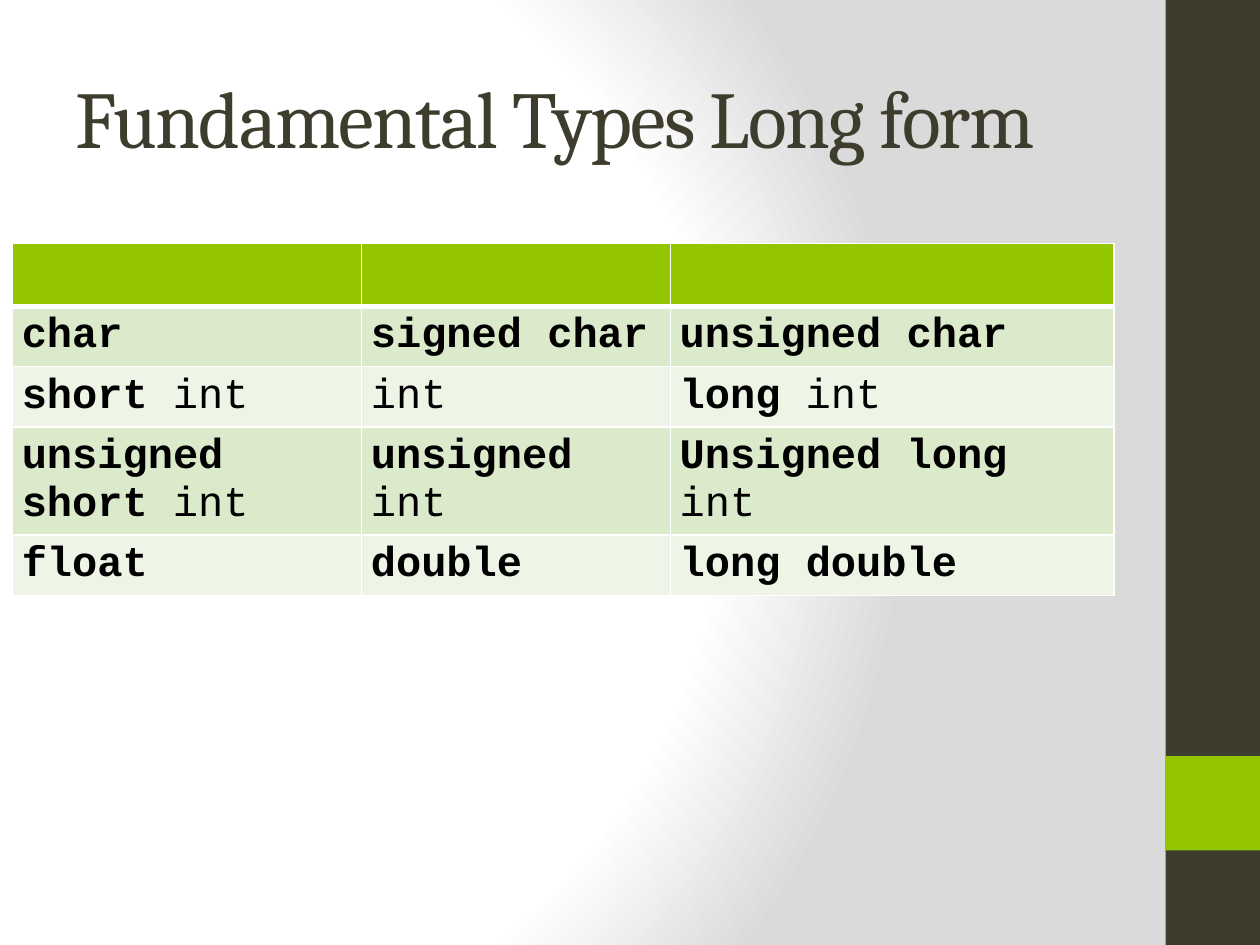
from lxml.etree import SubElement as Sub
from pptx import Presentation
from pptx.dml.color import RGBColor
from pptx.enum.shapes import MSO_SHAPE as Shape
from pptx.enum.text import MSO_ANCHOR as Anchor, MSO_AUTO_SIZE as Fit, PP_ALIGN as Align
from pptx.oxml.ns import qn
from pptx.util import Pt

DARK, GREEN, WHITE, BLACK = "3E3D2D", "94C600", "FFFFFF", "000000"
BANDS = ["DCEACC", "EEF5E7"]
# Each cell is a pair: bold text, plain text
TYPES = [
    [("char", ""), ("signed char", ""), ("unsigned char", "")],
    [("short ", "int"), ("", "int"), ("long ", "int")],
    [("unsigned short ", "int"), ("unsigned ", "int"), ("Unsigned long ", "int")],
    [("float ", ""), ("double ", ""), ("long double ", "")],
]
WIDTHS = [199.5, 176.5, 253.5]
HEIGHTS = [36, 34.5, 34.5, 61.5, 34.5]


def paint(color, code):
    """Set a color from a hex string."""
    color.rgb = RGBColor.from_string(code)


class Deck:
    """Holds the style and the current slide."""
    head, mono = "Cambria", "Courier New"

    def __init__(self):
        """Start a deck with one title-only slide."""
        self.prs = Presentation()
        self.prs.slide_width, self.prs.slide_height = Pt(720), Pt(540)
        self.slide = self.prs.slides.add_slide(self.prs.slide_layouts[5])

    def back(self, stops, focus):
        """Fill the background with a round gradient."""
        self.slide.background.fill.gradient()
        grad = next(self.slide.element.iter(qn("a:gradFill")))
        for child in list(grad):
            grad.remove(child)
        group = Sub(grad, qn("a:gsLst"))
        for place, code in stops:
            stop = Sub(group, qn("a:gs"), pos=str(place * 1000))
            Sub(stop, qn("a:srgbClr"), val=code)
        rect = Sub(grad, qn("a:path"), {"path": "circle"})
        Sub(rect, qn("a:fillToRect"),
            {side: str(part * 1000) for side, part in zip("ltrb", focus)})

    def text(self, para, words, font, size, code, bold=False):
        """Add one run and return it."""
        run = para.add_run()
        run.text = words
        run.font.name, run.font.size, run.font.bold = font, Pt(size), bold
        paint(run.font.color, code)
        return run

    def title(self, words, box):
        """Place and fill the title."""
        shape = self.slide.shapes.title
        shape.left, shape.top, shape.width, shape.height = map(Pt, box)
        frame = shape.text_frame
        frame.word_wrap, frame.auto_size = True, Fit.NONE
        frame.vertical_anchor = Anchor.MIDDLE
        para = frame.paragraphs[0]
        para.alignment = Align.LEFT
        run = self.text(para, words, self.head, 46, DARK)
        run.font._element.set("spc", "-100")

    def bar(self, box, code):
        """Add a plain filled rectangle."""
        shape = self.slide.shapes.add_shape(Shape.RECTANGLE, *map(Pt, box))
        shape.shadow.inherit = False
        shape.fill.solid()
        paint(shape.fill.fore_color, code)
        shape.line.fill.background()

    def edge(self, cell, top, low):
        """Draw white borders around a cell."""
        props = cell._tc.get_or_add_tcPr()
        for spot, (side, width) in enumerate(zip("LRTB", (1, 1, top, low))):
            line = Sub(props, qn("a:ln" + side), w=str(Pt(width)))
            Sub(Sub(line, qn("a:solidFill")), qn("a:srgbClr"), val=WHITE)
            props.insert(spot, line)

    def cell(self, cell, parts, code):
        """Fill one cell with a bold and a plain run."""
        cell.margin_left = cell.margin_right = Pt(5.25)
        cell.margin_top = cell.margin_bottom = Pt(3.6)
        cell.fill.solid()
        paint(cell.fill.fore_color, code)
        para = cell.text_frame.paragraphs[0]
        for words, bold in zip(parts, (True, False)):
            if words:
                self.text(para, words, self.mono, 24, BLACK, bold)

    def table(self, rows, left, top):
        """Add a banded table under an empty header row."""
        box = left, top, sum(WIDTHS), sum(HEIGHTS)
        grid = self.slide.shapes.add_table(
            len(HEIGHTS), len(WIDTHS), *map(Pt, box)).table
        for col, width in zip(grid.columns, WIDTHS):
            col.width = Pt(width)
        for row, height in zip(grid.rows, HEIGHTS):
            row.height = Pt(height)
        blank = [("", "")] * len(WIDTHS)
        for r, row in enumerate([blank] + rows):
            code = BANDS[(r - 1) % 2] if r else GREEN
            for c, parts in enumerate(row):
                cell = grid.cell(r, c)
                self.cell(cell, parts, code)
                self.edge(cell, 3 if r == 1 else 1, 3 if r == 0 else 1)


deck = Deck()
deck.back([(0, WHITE), (75, WHITE), (100, "DADADA")], (20, 50, 100, 50))
deck.bar((666, 0, 54, 540), DARK)
deck.bar((666, 432, 54, 54), GREEN)
deck.title("Fundamental Types Long form", (36, 21.6, 600, 90))
deck.table(TYPES, 7.2, 139)
deck.prs.save("out.pptx")
